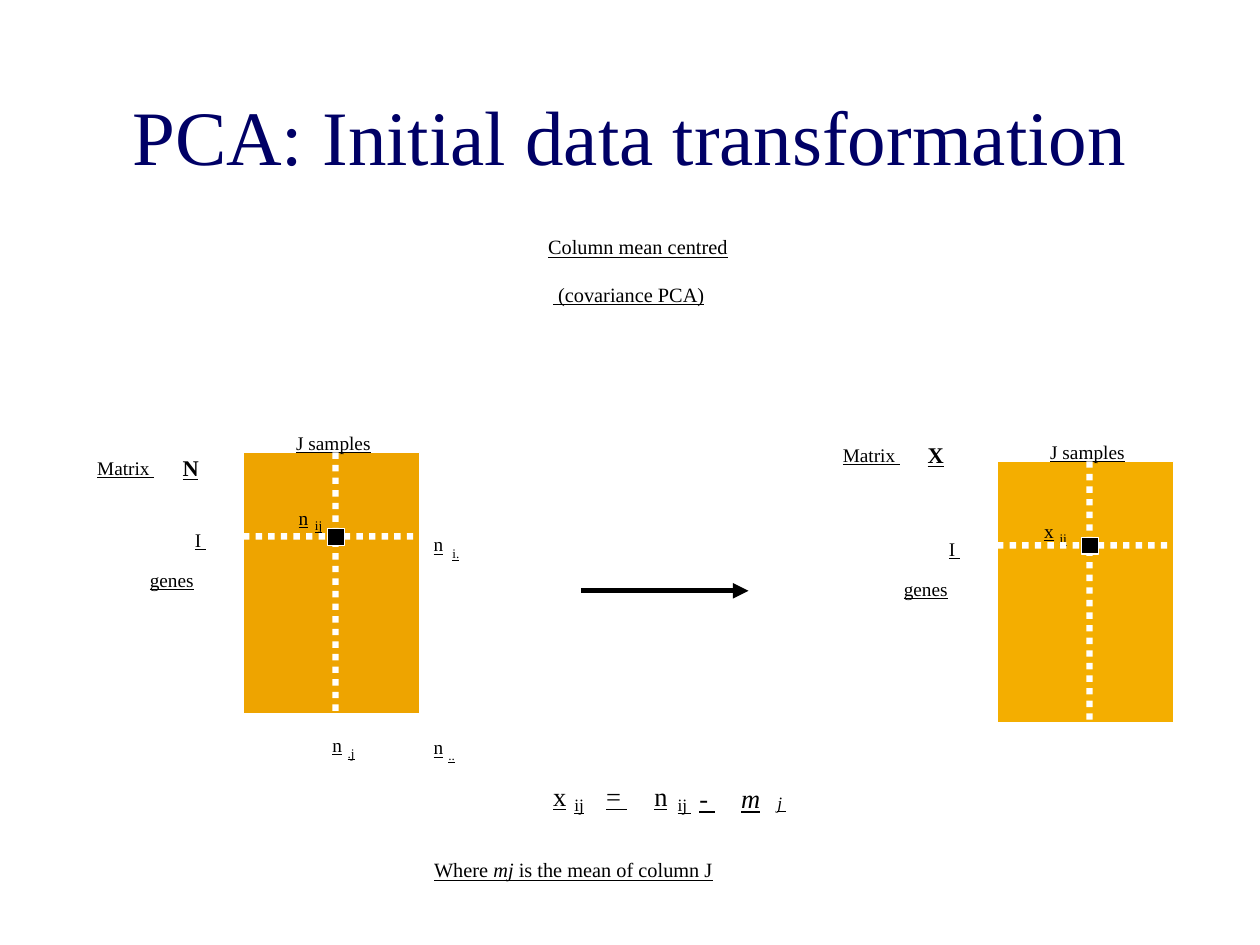
from pptx import Presentation
from pptx.dml.color import RGBColor
from pptx.enum.shapes import MSO_CONNECTOR, MSO_SHAPE
from pptx.enum.text import MSO_ANCHOR, MSO_AUTO_SIZE, PP_ALIGN
from pptx.oxml.ns import qn
from pptx.util import Cm, Pt
from lxml.etree import SubElement

FONT = "Times New Roman"
BLACK, WHITE, NAVY = "000000", "FFFFFF", "000066"

# Panels: left, top, fill
PANELS = [(4.9, 9.12, "EEA400"), (20.1, 9.3, "F4AE00")]
WIDE, HIGH = 3.56, 5.26
DOT, STEP = 0.13, 5.08 / 20
MARK = 0.34

# Labels: text, left, top, width, size, style
AXES = [  # measured from the corner of each panel
    ("I ", -0.97, 1.08, 0.25, 19, ""),
    ("genes", -1.88, 1.89, 0.92, 19, ""),
    ("J samples", 1.07, -0.88, 1.6, 19, ""),
]
LABELS = [
    ("Matrix ", 1.96, 8.74, 1.22, 19, ""),
    ("N", 3.68, 8.64, 0.33, 22, "b"),
    ("n", 6.02, 9.75, 0.22, 19, ""),
    ("ij", 6.35, 10.13, 0.18, 13, ""),
    ("n", 8.74, 10.29, 0.22, 19, ""),
    ("i.", 9.12, 10.69, 0.18, 13, ""),
    ("n", 6.7, 14.33, 0.22, 19, ""),
    (".j", 7.01, 14.71, 0.18, 13, ""),
    ("n", 8.74, 14.38, 0.22, 19, ""),
    ("..", 9.04, 14.76, 0.2, 13, ""),
    ("Matrix ", 16.99, 8.48, 1.22, 19, ""),
    ("X", 18.7, 8.38, 0.33, 22, "b"),
    ("x", 21.05, 10.01, 0.22, 19, ""),
    ("ij", 21.36, 10.39, 0.18, 13, ""),
]
FORMULA = [
    ("x", 11.15, 15.11, 0.3, 26, ""),
    ("ij", 11.58, 15.6, 0.24, 17, ""),
    ("= ", 12.22, 15.11, 0.5, 26, ""),
    ("n", 13.19, 15.11, 0.3, 26, ""),
    ("ij ", 13.66, 15.6, 0.32, 17, ""),
    ("- ", 14.1, 15.16, 0.36, 26, ""),
    ("m", 14.94, 15.16, 0.42, 26, "i"),
    ("j ", 15.67, 15.57, 0.24, 17, "i"),
]
TALL = {13: 0.64, 17: 0.81, 19: 0.91, 22: 1.07, 26: 1.24}
TITLE = "PCA: Initial data transformation"
METHOD = ["Column mean centred", " (covariance PCA)"]
NOTE = [("Where ", ""), ("mj ", "i"), ("is the mean of column J", "")]

deck = Presentation()
deck.slide_width, deck.slide_height = Cm(25.4), Cm(19.05)
slide = deck.slides.add_slide(deck.slide_layouts[6])


def tint(code):
    return RGBColor.from_string(code)


def block(x, y, w, h, fill, edge=None):
    shape = slide.shapes.add_shape(MSO_SHAPE.RECTANGLE, Cm(x), Cm(y), Cm(w), Cm(h))
    shape.shadow.inherit = False
    shape.fill.solid()
    shape.fill.fore_color.rgb = tint(fill)
    if edge:
        shape.line.color.rgb = tint(edge)
        shape.line.width = Pt(0.62)
    else:
        shape.line.fill.background()


def frame(x, y, w, h, wrap=False, pad=True):
    text = slide.shapes.add_textbox(Cm(x), Cm(y), Cm(w), Cm(h)).text_frame
    text.word_wrap = wrap
    text.auto_size = MSO_AUTO_SIZE.SHAPE_TO_FIT_TEXT
    if not pad:
        text.margin_left = text.margin_right = 0
        text.margin_top = text.margin_bottom = 0
    return text


def write(para, words, size, style="", color=BLACK, low=True):
    run = para.add_run()
    run.text = words
    font = run.font
    font.name, font.size = FONT, Pt(size)
    font.color.rgb = tint(color)
    font.bold, font.italic = "b" in style, "i" in style
    if low:  # lowered, underlined lettering
        font.underline = True
        font._element.set("baseline", "-25000")


def label(words, x, y, w, size, style):
    text = frame(x, y, w, TALL[size], pad=False)
    write(text.paragraphs[0], words, size, style)


# Panels and their labels
for x, y, fill in PANELS:
    block(x, y, WIDE, HIGH, fill, WHITE)
    for words, dx, dy, *rest in AXES:
        label(words, x + dx, y + dy, *rest)
for item in LABELS + FORMULA:
    label(*item)

# Dotted row and column, crossing at the marked cell
for x, y, _ in PANELS:
    for i in range(21):
        block(x + 1.8, y + i * STEP, DOT, DOT, WHITE)
    for i in range(14):
        if i != 7:
            block(x + i * STEP, y + 1.63, DOT, DOT, WHITE)
    block(x + 1.7, y + 1.53, MARK, MARK, BLACK, WHITE)

# Arrow from N to X
arrow = slide.shapes.add_connector(
    MSO_CONNECTOR.STRAIGHT, Cm(11.71), Cm(11.91), Cm(15.09), Cm(11.91))
arrow.line.color.rgb = tint(BLACK)
arrow.line.width = Pt(3)
SubElement(arrow.line._get_or_add_ln(), qn("a:tailEnd"), type="triangle")
SubElement(arrow._element.spPr, qn("a:effectLst"))

# Note on the mean
note = frame(8.5, 16.69, 10.21, 2.62, wrap=True).paragraphs[0]
for words, style in NOTE:
    write(note, words, 20, style)

# Title
head = frame(1.9, 1.12, 21.6, 3.18, wrap=True)
head.auto_size = MSO_AUTO_SIZE.NONE
head.vertical_anchor = MSO_ANCHOR.MIDDLE
head.paragraphs[0].alignment = PP_ALIGN.CENTER
write(head.paragraphs[0], TITLE, 44, color=NAVY, low=False)

# Method, second line slightly indented
method = frame(10.8, 4.13, 4.2, 2.18)
write(method.paragraphs[0], METHOD[0], 20)
second = method.add_paragraph()
second._p.get_or_add_pPr().set("marL", str(Cm(0.1)))
write(second, METHOD[1], 20)

deck.save("out.pptx")
